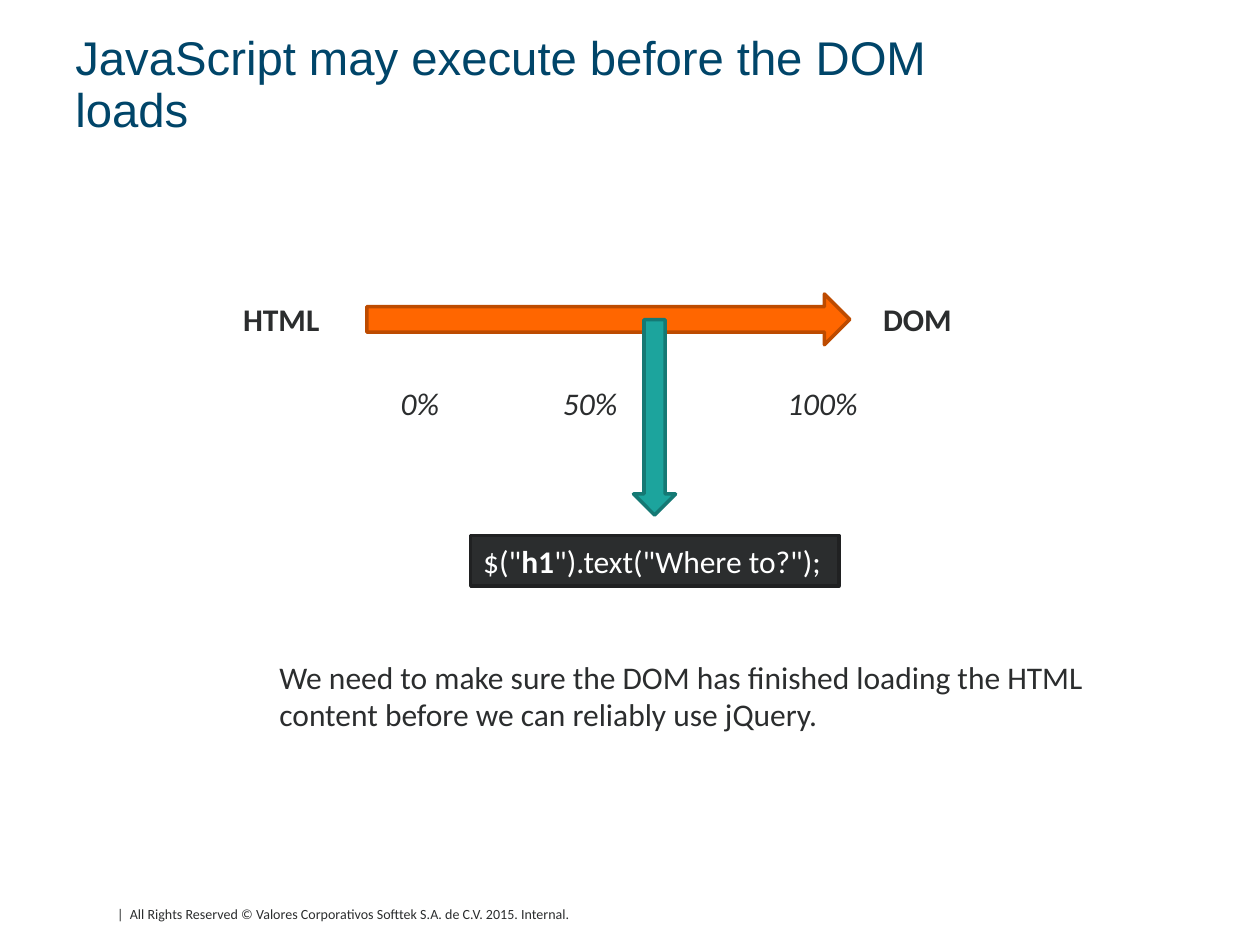
from pptx import Presentation
from pptx.dml.color import RGBColor
from pptx.enum.shapes import MSO_SHAPE
from pptx.enum.text import MSO_ANCHOR, MSO_AUTO_SIZE, PP_ALIGN
from pptx.util import Pt

COLORS = {
    "title": "004569", "text": "2B2D2E", "white": "FFFFFF",
    "orange": "FF6600", "orange_line": "BD4B00",
    "teal": "1CA49D", "teal_line": "157974", "code_line": "202122",
}


def rgb(name):
    return RGBColor.from_string(COLORS[name])


def add_run(p, text, size=18, font="Calibri", color="text", bold=False, italic=False):
    r = p.add_run()
    r.text = text
    r.font.size = Pt(size)
    r.font.name = font
    r.font.color.rgb = rgb(color)
    r.font.bold = bold
    r.font.italic = italic
    return r


class SlideBuilder:
    def __init__(self, slide, line_width=2):
        self.s = slide
        self.line_width = line_width

    def text(self, box, text, wrap=False, anchor=MSO_ANCHOR.TOP, spacing=None, **style):
        tf = self.s.shapes.add_textbox(*map(Pt, box)).text_frame
        tf.word_wrap = wrap
        tf.vertical_anchor = anchor
        p = tf.paragraphs[0]
        if spacing:
            p.line_spacing = Pt(spacing)
        add_run(p, text, **style)

    def shape(self, kind, box, fill, line):
        sp = self.s.shapes.add_shape(kind, *map(Pt, box))
        sp.shadow.inherit = False
        sp.fill.solid()
        sp.fill.fore_color.rgb = rgb(fill)
        sp.line.color.rgb = rgb(line)
        sp.line.width = Pt(self.line_width)
        return sp

    def code(self, box, parts):
        sp = self.shape(MSO_SHAPE.RECTANGLE, box, "text", "code_line")
        tf = sp.text_frame
        tf.word_wrap = False
        tf.auto_size = MSO_AUTO_SIZE.SHAPE_TO_FIT_TEXT
        tf.vertical_anchor = MSO_ANCHOR.TOP
        p = tf.paragraphs[0]
        p.alignment = PP_ALIGN.LEFT
        for text, bold in parts:
            add_run(p, text, color="white", bold=bold)


def main():
    prs = Presentation()
    prs.slide_width, prs.slide_height = Pt(720), Pt(540)
    b = SlideBuilder(prs.slides.add_slide(prs.slide_layouts[6]))

    # Footer and title
    b.text((59.8, 514.1, 402.5, 11.5),
           "|  All Rights Reserved © Valores Corporativos Softtek S.A. de C.V. 2015. Internal.",
           wrap=True, size=8)
    b.text((36, 15.1, 566.6, 67), "JavaScript may execute before the DOM loads",
           wrap=True, anchor=MSO_ANCHOR.BOTTOM, spacing=30,
           size=27, font="Arial", color="title")

    # Ends of the timeline
    label_top, label_height = 168, 29
    for text, left, width in (("HTML", 131.8, 58.3), ("DOM", 497.5, 54)):
        b.text((left, label_top, width, label_height), text, bold=True)

    # Loading progress
    for text, left, width in (("0%", 221.8, 36.7), ("50%", 314.6, 46.1),
                              ("100%", 442.8, 55.4)):
        b.text((left, 216, width, label_height), text, italic=True)

    # Timeline arrow and the moment the script runs
    b.shape(MSO_SHAPE.RIGHT_ARROW, (209.6, label_top, 276, label_height),
            "orange", "orange_line")
    b.shape(MSO_SHAPE.DOWN_ARROW, (362, 182.7, 24, 111.6), "teal", "teal_line")

    # Script line
    b.code((269, 306, 210.4, label_height),
           (('$("', False), ("h1", True), ('").text("Where to?");', False)))

    # Conclusion
    b.text((152.6, 372.2, 491.8, 51),
           "We need to make sure the DOM has finished loading the HTML content "
           "before we can reliably use jQuery.", wrap=True)

    prs.save("out.pptx")


if __name__ == "__main__":
    main()
